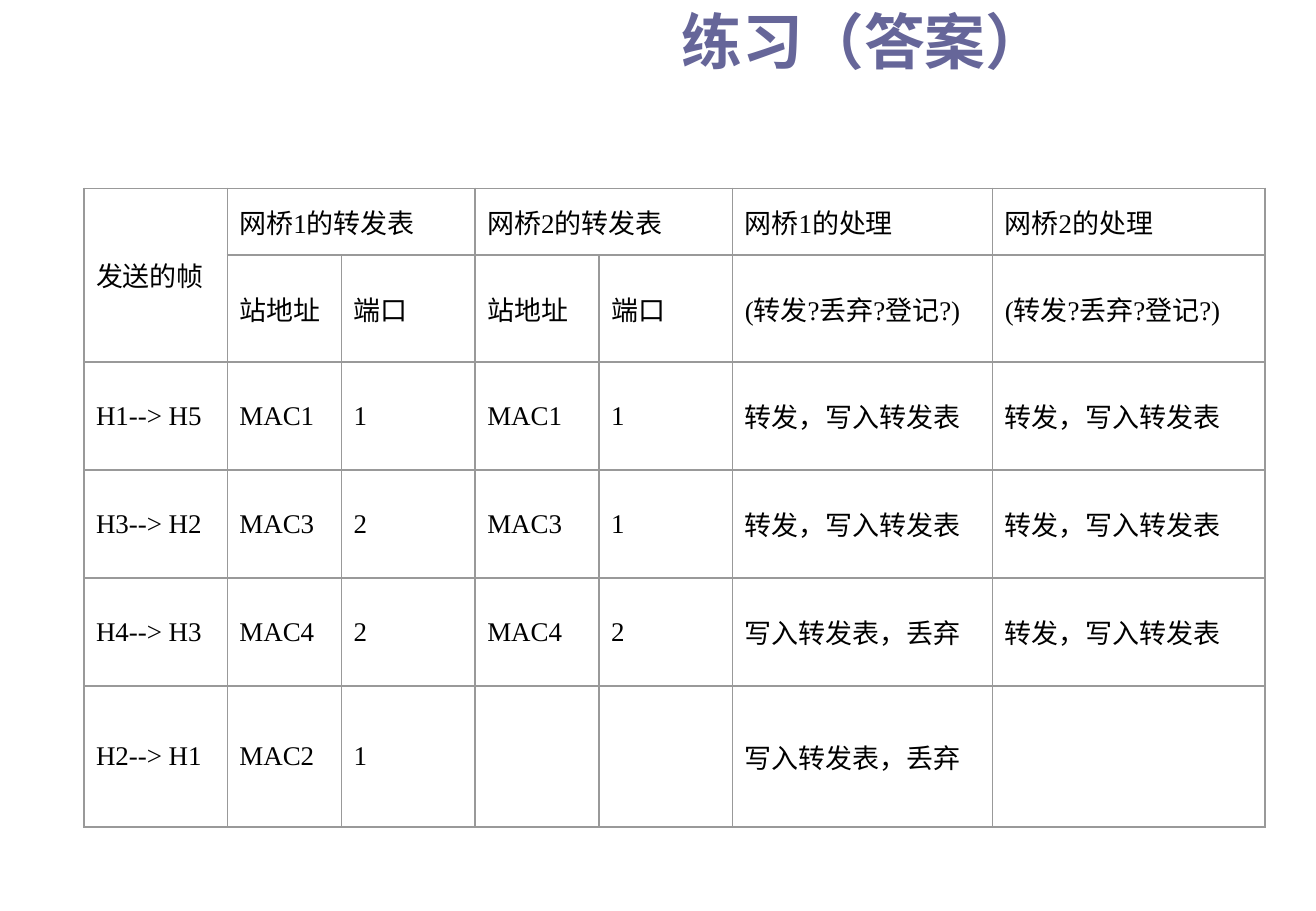
from lxml import etree
from pptx import Presentation
from pptx import util as u
from pptx.dml.color import RGBColor
from pptx.enum import text
from pptx.oxml.ns import qn


def color(value):
    return RGBColor.from_string(value)


def add_borders(cell, value, points):
    properties = cell._tc.get_or_add_tcPr()
    for side in ("lnL", "lnR", "lnT", "lnB"):
        line = etree.SubElement(properties, qn(f"a:{side}"), w=str(u.Pt(points)))
        fill = etree.SubElement(line, qn("a:solidFill"))
        etree.SubElement(fill, qn("a:srgbClr"), val=value)


deck = Presentation()
deck.slide_width = u.Inches(10.83)
deck.slide_height = u.Inches(7.5)
page = deck.slides.add_slide(deck.slide_layouts[6])

title = page.shapes.add_textbox(u.Inches(1.79), u.Inches(0.04), u.Inches(6.92), u.Inches(0.58))
frame = title.text_frame
frame.word_wrap = True
frame.vertical_anchor = text.MSO_ANCHOR.MIDDLE
para = frame.paragraphs[0]
para.text = "练习（答案）"
para.alignment = text.PP_ALIGN.RIGHT
para.font.name = "Comic Neue"
para.font.size = u.Pt(36)
para.font.bold = True
para.font.color.rgb = color("666699")

column_widths = [1.18, 0.94, 1.1, 1.02, 1.1, 2.14, 2.24]
row_heights = [0.55, 0.88, 0.89, 0.89, 0.89, 1.16]
question = "(转发?丢弃?登记?)"
forward = "转发，写入转发表"
discard = "写入转发表，丢弃"
rows = [
    ["发送的帧", "网桥1的转发表", "", "网桥2的转发表", "", "网桥1的处理", "网桥2的处理"],
    ["", "站地址", "端口", "站地址", "端口", question, question],
    ["H1--> H5", "MAC1", "1", "MAC1", "1", forward, forward],
    ["H3--> H2", "MAC3", "2", "MAC3", "1", forward, forward],
    ["H4--> H3", "MAC4", "2", "MAC4", "2", discard, forward],
    ["H2--> H1", "MAC2", "1", "", "", discard, ""],
]

table = page.shapes.add_table(
    len(rows), len(column_widths), u.Inches(0.69), u.Inches(1.55),
    u.Inches(sum(column_widths)), u.Inches(sum(row_heights)),
).table
table.first_row = False
table.horz_banding = False
for column, width in zip(table.columns, column_widths):
    column.width = u.Inches(width)
for row, height in zip(table.rows, row_heights):
    row.height = u.Inches(height)

for row_index, row in enumerate(rows):
    for column_index, words in enumerate(row):
        cell = table.cell(row_index, column_index)
        add_borders(cell, "999999", 1)
        cell.fill.background()
        cell.vertical_anchor = text.MSO_ANCHOR.MIDDLE
        para = cell.text_frame.paragraphs[0]
        para.text = words
        para.font.name = "Times New Roman"
        para.font.size = u.Pt(16)
        para.font.color.rgb = color("000000")
        indents = para._p.get_or_add_pPr()
        indents.set("marL", str(u.Inches(0.38)))
        indents.set("indent", str(u.Inches(-0.38)))

for first, last in [((0, 0), (1, 0)), ((0, 1), (0, 2)), ((0, 3), (0, 4))]:
    table.cell(*first).merge(table.cell(*last))

deck.save("out.pptx")
